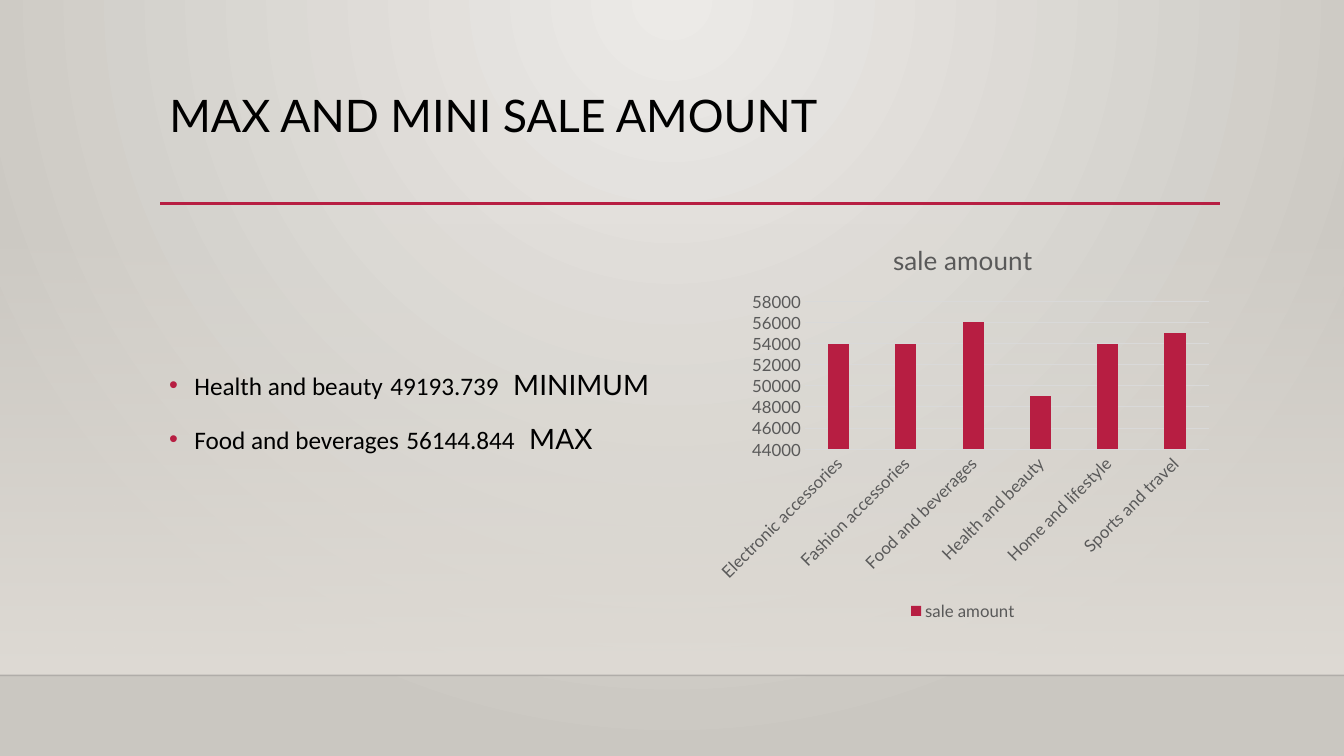
from lxml import etree
from pptx import Presentation
from pptx.chart.data import CategoryChartData
from pptx.dml.color import RGBColor
from pptx.enum.chart import XL_CHART_TYPE, XL_LEGEND_POSITION, XL_TICK_MARK
from pptx.enum.shapes import MSO_CONNECTOR, MSO_SHAPE
from pptx.enum.text import MSO_ANCHOR, MSO_AUTO_SIZE, PP_ALIGN
from pptx.oxml import parse_xml
from pptx.oxml.ns import nsdecls, qn
from pptx.util import Inches, Pt

COLUMN = XL_CHART_TYPE.COLUMN_CLUSTERED
LEGEND_BOTTOM = XL_LEGEND_POSITION.BOTTOM
NO_TICK = XL_TICK_MARK.NONE

# Content
TITLE = "MAX AND MINI SALE AMOUNT"
FINDINGS = [
    ("Health and beauty", "49193.739", "MINIMUM"),
    ("Food and beverages", "56144.844", "MAX"),
]
SERIES_NAME = "sale amount"
SALES = {
    "Electronic accessories": 54000,
    "Fashion accessories": 54000,
    "Food and beverages": 56000,
    "Health and beauty": 49000,
    "Home and lifestyle": 54000,
    "Sports and travel": 55000,
}
AXIS_MIN, AXIS_MAX, AXIS_STEP = 44000, 58000, 2000


class Theme:
    accent, text, muted, grid = "B71E42", "000000", "595959", "D9D9D9"
    center, edge, wall, floor_line = "ECEAE7", "CAC7C1", "DFDBD5", "000001"
    font, detail_font = "Lato", "Calibri"
    title, label, detail, chart_title, axis = 32, 20, 18, 18.6, 12


# Layout in inches
WIDTH, HEIGHT = 13.33, 7.5
LEFT, COLUMN_WIDTH, CONTENT_WIDTH = 1.58, 5.08, 10.51
RIGHT_COLUMN = LEFT + CONTENT_WIDTH - COLUMN_WIDTH
WALL_TOP, FLOOR = 2.21, 6.7
RULE_Y = 2.02


def rgb(color):
    return RGBColor.from_string(color)


def set_font(font, size, color, name=Theme.font):
    font.size, font.name, font.bold = Pt(size), name, False
    font.color.rgb = rgb(color)


def set_alpha(color_parent, percent):
    color = color_parent.find(".//" + qn("a:srgbClr"))
    etree.SubElement(color, qn("a:alpha")).set("val", str(percent * 1000))


def set_gradient(fill, first, last):
    fill.gradient()
    for stop, color in zip(fill.gradient_stops, (first, last)):
        stop.color.rgb = rgb(color)


def add_line(slide, left, right, y, color, width):
    line = slide.shapes.add_connector(
        MSO_CONNECTOR.STRAIGHT, Inches(left), Inches(y), Inches(right), Inches(y))
    line.line.color.rgb = rgb(color)
    line.line.width = Pt(width)
    etree.SubElement(line._element.spPr, qn("a:effectLst"))
    return line


def add_backdrop(slide):
    # Radial background, lit from the top centre
    background = slide.background
    set_gradient(background.fill, Theme.center, Theme.edge)
    linear = background._cSld.find(".//" + qn("a:lin"))
    linear.getparent().replace(linear, parse_xml(
        f'<a:path {nsdecls("a")} path="circle">'
        '<a:fillToRect l="43000" t="0" r="43000" b="100000"/></a:path>'))

    # Wall fading in towards the floor
    wall = slide.shapes.add_shape(
        MSO_SHAPE.RECTANGLE, 0, Inches(WALL_TOP), Inches(WIDTH), Inches(FLOOR - WALL_TOP))
    wall.shadow.inherit = False
    wall.line.fill.background()
    set_gradient(wall.fill, Theme.wall, Theme.wall)
    wall.fill.gradient_angle = 270
    stops = wall._element.spPr.findall(".//" + qn("a:gs"))
    for stop, position, alpha in zip(stops, (0, 100), (0, 100)):
        stop.set("pos", str(position * 1000))
        set_alpha(stop, alpha)

    # Floor edge and title rule
    floor = add_line(slide, 0, WIDTH, FLOOR, Theme.floor_line, 1)
    set_alpha(floor._element.spPr, 20)
    add_line(slide, LEFT + 0.01, LEFT + CONTENT_WIDTH + 0.01, RULE_Y, Theme.accent, 2.5)


def add_title(slide):
    title = slide.shapes.title
    title.left, title.top = Inches(LEFT), Inches(0.88)
    title.width, title.height = Inches(CONTENT_WIDTH), Inches(1.16)
    frame = title.text_frame
    frame.text = TITLE
    frame.auto_size = MSO_AUTO_SIZE.NONE
    frame.vertical_anchor = MSO_ANCHOR.TOP
    paragraph = frame.paragraphs[0]
    paragraph.alignment = PP_ALIGN.LEFT
    paragraph.line_spacing = 0.9
    set_font(paragraph.font, Theme.title, Theme.text)


def add_bullet(paragraph):
    properties = paragraph._p.get_or_add_pPr()
    properties.set("marL", str(Inches(0.25)))
    properties.set("indent", str(-Inches(0.25)))
    color = etree.SubElement(properties, qn("a:buClr"))
    etree.SubElement(color, qn("a:srgbClr")).set("val", Theme.accent)
    etree.SubElement(properties, qn("a:buFont")).set("typeface", "Arial")
    etree.SubElement(properties, qn("a:buChar")).set("char", "•")


def add_findings(slide):
    box = slide.shapes.add_textbox(
        Inches(LEFT), Inches(3.53), Inches(COLUMN_WIDTH), Inches(2.45))
    frame = box.text_frame
    frame.word_wrap = True
    detail = (Theme.detail, Theme.text, Theme.detail_font)
    label = (Theme.label, Theme.text, Theme.font)
    for index, (category, amount, verdict) in enumerate(FINDINGS):
        paragraph = frame.add_paragraph() if index else frame.paragraphs[0]
        paragraph.line_spacing = 1.2
        paragraph.space_before = Pt(10)
        add_bullet(paragraph)
        for text, style in ((category, detail), (" ", label),
                            (amount, detail), ("  " + verdict, label)):
            run = paragraph.add_run()
            run.text = text
            set_font(run.font, *style)


def add_sales_chart(slide):
    data = CategoryChartData()
    data.categories = list(SALES)
    data.add_series(SERIES_NAME, list(SALES.values()))
    chart = slide.shapes.add_chart(
        COLUMN, Inches(RIGHT_COLUMN), Inches(WALL_TOP),
        Inches(COLUMN_WIDTH), Inches(3.99), data).chart
    set_font(chart.font, Theme.axis, Theme.muted)

    # Title and legend
    chart.has_title = True
    chart.chart_title.include_in_layout = False
    chart.chart_title.text_frame.text = SERIES_NAME
    set_font(chart.chart_title.text_frame.paragraphs[0].font, Theme.chart_title, Theme.muted)
    chart.has_legend = True
    chart.legend.position = LEGEND_BOTTOM
    chart.legend.include_in_layout = False
    set_font(chart.legend.font, Theme.axis, Theme.muted)

    # Columns
    plot = chart.plots[0]
    plot.vary_by_categories = False
    plot.gap_width, plot.overlap = 219, -27
    fill = plot.series[0].format.fill
    fill.solid()
    fill.fore_color.rgb = rgb(Theme.accent)

    # Axes
    categories, values = chart.category_axis, chart.value_axis
    for axis in (categories, values):
        axis.major_tick_mark = axis.minor_tick_mark = NO_TICK
        set_font(axis.tick_labels.font, Theme.axis, Theme.muted)
    categories._element.find(".//" + qn("a:bodyPr")).set("rot", str(-45 * 60000))
    values.minimum_scale, values.maximum_scale = AXIS_MIN, AXIS_MAX
    values.major_unit = AXIS_STEP
    values.format.line.fill.background()
    for line in (categories.format.line, values.major_gridlines.format.line):
        line.color.rgb = rgb(Theme.grid)
        line.width = Pt(0.75)


def main():
    presentation = Presentation()
    presentation.slide_width, presentation.slide_height = Inches(WIDTH), Inches(HEIGHT)
    slide = presentation.slides.add_slide(presentation.slide_layouts.get_by_name("Title Only"))
    add_backdrop(slide)
    add_title(slide)
    add_findings(slide)
    add_sales_chart(slide)
    presentation.save("out.pptx")


if __name__ == "__main__":
    main()
